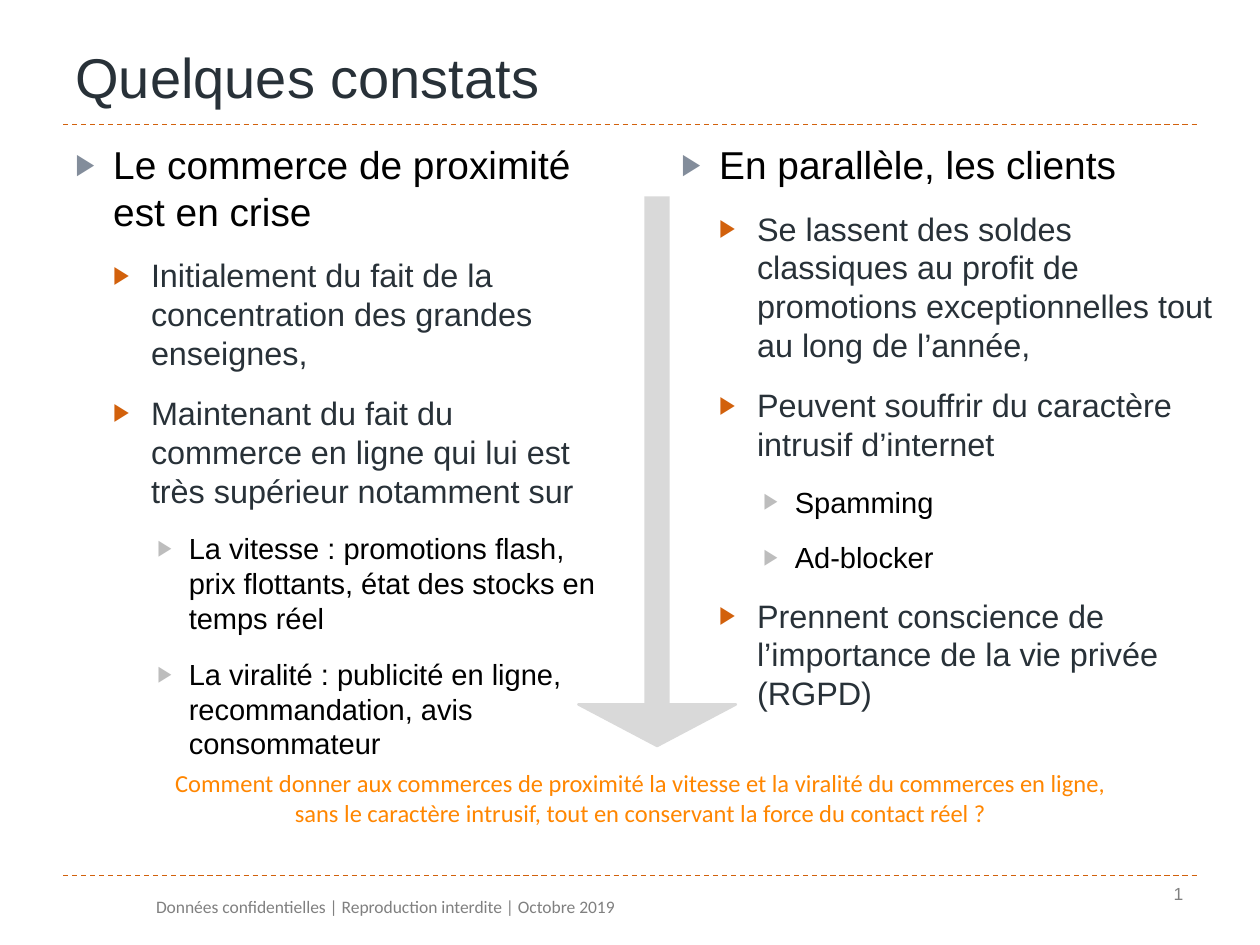
from dataclasses import dataclass

from lxml.etree import SubElement
from pptx import Presentation
from pptx.dml.color import RGBColor
from pptx.enum.dml import MSO_LINE
from pptx.enum.shapes import MSO_CONNECTOR, MSO_SHAPE
from pptx.enum.text import MSO_ANCHOR, PP_ALIGN
from pptx.oxml.ns import qn
from pptx.util import Pt

EMU_PER_PX = 9144


@dataclass(frozen=True)
class Theme:
    """Colours, fonts and type sizes of the slide."""
    heading_font: str = "Arial"
    note_font: str = "Calibri"
    ink: str = "283138"
    muted: str = "808080"
    rule: str = "D2610C"
    arrow: str = "D9D9D9"
    question: str = "FF8600"
    title_size: float = 32
    question_size: float = 14
    footer_size: float = 10
    level_sizes: tuple = (22.2, 18.5, 16.6)
    level_colours: tuple = ("000000", "283138", "000000")
    bullet_colours: tuple = ("838D9B", "D2610C", "BDBDBD")
    level_margins: tuple = (30, 60, 90)
    level_hangs: tuple = (30, 30, 25)


THEME = Theme()

CRISIS = [
    (0, "Le commerce de proximité est en crise"),
    (1, "Initialement du fait de la concentration des grandes enseignes,"),
    (1, "Maintenant du fait du commerce en ligne qui lui est très supérieur notamment sur"),
    (2, "La vitesse : promotions flash, prix flottants, état des stocks en temps réel"),
    (2, "La viralité : publicité en ligne, recommandation, avis consommateur"),
]
CUSTOMERS = [
    (0, "En parallèle, les clients"),
    (1, "Se lassent des soldes classiques au profit de promotions exceptionnelles tout "
        "au long de l’année,"),
    (1, "Peuvent souffrir du caractère intrusif d’internet"),
    (2, "Spamming"),
    (2, "Ad-blocker"),
    (1, "Prennent conscience de l’importance de la vie privée (RGPD)"),
]
QUESTION = ("Comment donner aux commerces de proximité la vitesse et la viralité du commerces "
            "en ligne, sans le caractère intrusif, tout en conservant la force du contact réel ?")
FOOTER = "Données confidentielles | Reproduction interdite | Octobre 2019"


def px(value):
    """Turn px into EMU."""
    return int(value * EMU_PER_PX)


def add_frame(slide, box, anchor=MSO_ANCHOR.TOP):
    """Add a wrapping text box and return its text frame."""
    frame = slide.shapes.add_textbox(*map(px, box)).text_frame
    frame.word_wrap = True
    frame.vertical_anchor = anchor
    return frame


def write(paragraph, text, *, size, colour, font=THEME.heading_font, align=PP_ALIGN.LEFT):
    """Write formatted text into a paragraph."""
    paragraph.alignment = align
    run = paragraph.add_run()
    run.text = text
    run.font.size = Pt(size)
    run.font.name = font
    run.font.color.rgb = RGBColor.from_string(colour)


def set_bullet(paragraph, level):
    """Give a paragraph the triangle bullet and indent of its level."""
    paragraph.level = level
    properties = paragraph._p.get_or_add_pPr()
    properties.set("marL", str(px(THEME.level_margins[level])))
    properties.set("indent", str(-px(THEME.level_hangs[level])))
    colour = SubElement(properties, qn("a:buClr"))
    SubElement(colour, qn("a:srgbClr"), val=THEME.bullet_colours[level])
    SubElement(properties, qn("a:buSzPct"), val="76000")
    SubElement(properties, qn("a:buFont"), typeface=THEME.heading_font)
    SubElement(properties, qn("a:buChar"), char="▶")


def add_rule(slide, left, top, width):
    """Draw a dashed horizontal rule."""
    line = slide.shapes.add_connector(
        MSO_CONNECTOR.STRAIGHT, px(left), px(top), px(left + width), px(top))
    line.line.color.rgb = RGBColor.from_string(THEME.rule)
    line.line.width = Pt(0.75)
    line.line.dash_style = MSO_LINE.DASH
    SubElement(line._element.spPr, qn("a:effectLst"))


def add_header(slide, left, top, width, height):
    """Place the title above its rule."""
    frame = add_frame(slide, (left, top, width, height - 7), MSO_ANCHOR.BOTTOM)
    write(frame.paragraphs[0], "Quelques constats", size=THEME.title_size, colour=THEME.ink)
    add_rule(slide, left, top + height, width)


def add_column(slide, items, *box):
    """Place a column of bulleted paragraphs on three levels."""
    frame = add_frame(slide, box)
    for index, (level, text) in enumerate(items):
        paragraph = frame.add_paragraph() if index else frame.paragraphs[0]
        paragraph.space_before = Pt(12)
        set_bullet(paragraph, level)
        write(paragraph, text, size=THEME.level_sizes[level],
              colour=THEME.level_colours[level])


def add_arrow(slide, left, top, width, height):
    """Draw the down arrow as a shaft and a flat head."""
    head_height, shaft_width = 33, 20
    head_top = top + height - head_height
    shaft_left = left + (width - shaft_width) / 2
    head = slide.shapes.add_shape(
        MSO_SHAPE.ISOSCELES_TRIANGLE, *map(px, (left, head_top, width, head_height)))
    head.rotation = 180
    shaft = slide.shapes.add_shape(
        MSO_SHAPE.RECTANGLE, *map(px, (shaft_left, top, shaft_width, head_top + 7 - top)))
    for shape in (head, shaft):
        shape.shadow.inherit = False
        shape.fill.solid()
        shape.fill.fore_color.rgb = RGBColor.from_string(THEME.arrow)
    head.line.color.rgb = RGBColor.from_string(THEME.arrow)
    head.line.width = Pt(1.5)
    shaft.line.fill.background()


def add_question(slide, *box):
    """Place the centred closing question."""
    write(add_frame(slide, box).paragraphs[0], QUESTION, size=THEME.question_size,
          colour=THEME.question, font=THEME.note_font, align=PP_ALIGN.CENTER)


def add_footer(slide, left, top, width, height):
    """Place the rule, the confidentiality note and the page number."""
    add_rule(slide, left, top, width)
    note = add_frame(slide, (left + 64, top + 11, width - 64, height - 11))
    write(note.paragraphs[0], FOOTER, size=THEME.footer_size, colour=THEME.muted,
          font=THEME.note_font)
    number = add_frame(slide, (left + width - 72, top + 1, 71, height))
    write(number.paragraphs[0], "1", size=THEME.footer_size, colour=THEME.muted,
          align=PP_ALIGN.RIGHT)


def main():
    """Build and save the slide."""
    presentation = Presentation()
    presentation.slide_width, presentation.slide_height = px(1000), px(750)
    slide = presentation.slides.add_slide(presentation.slide_layouts[6])
    add_header(slide, 50, 17, 900, 82)
    add_footer(slide, 50, 695, 900, 40)
    add_column(slide, CRISIS, 50, 107, 442, 433)
    add_column(slide, CUSTOMERS, 531, 107, 449, 409)
    add_question(slide, 115, 605, 787, 57)
    add_arrow(slide, 459, 156, 125, 436)
    presentation.save("out.pptx")


if __name__ == "__main__":
    main()
